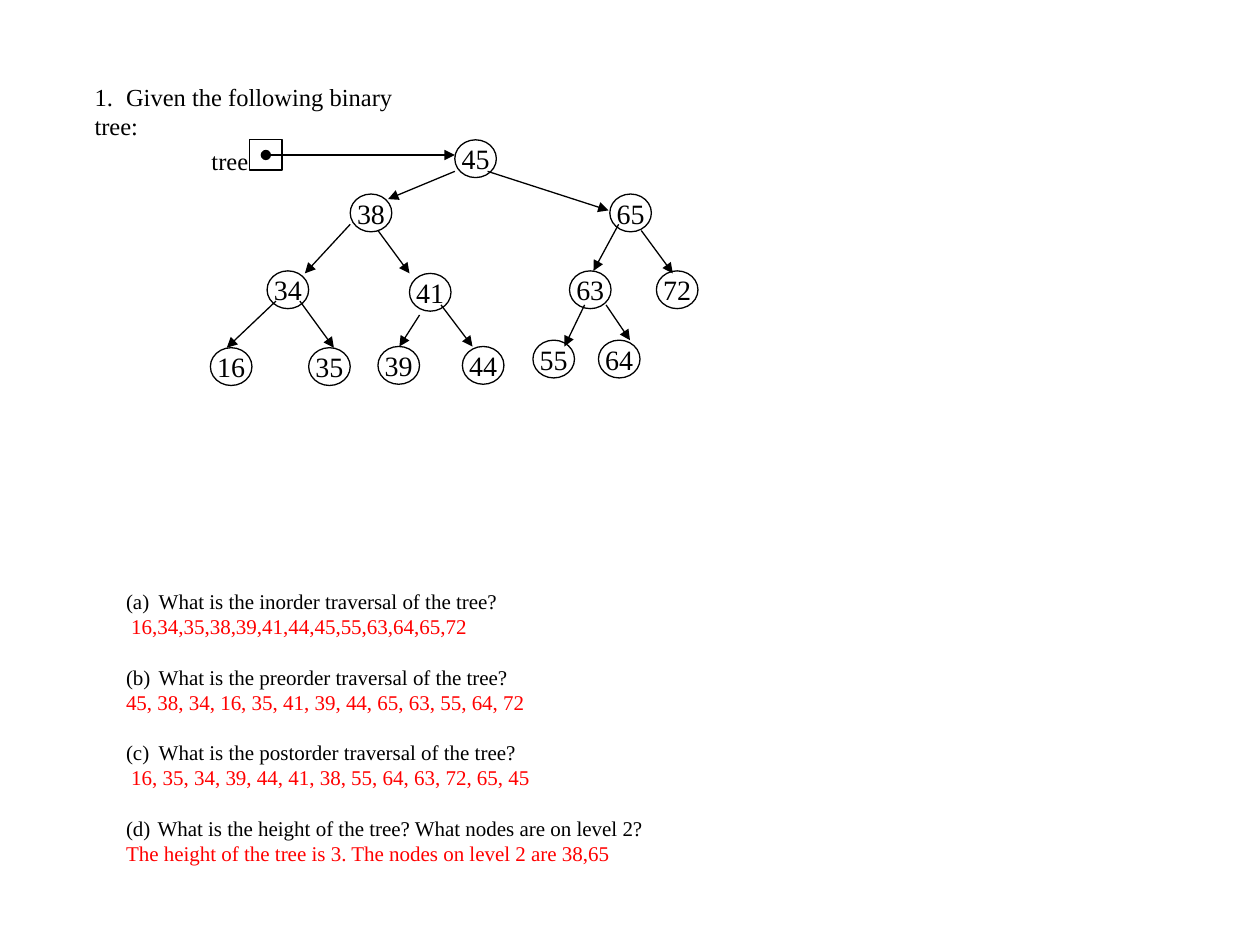
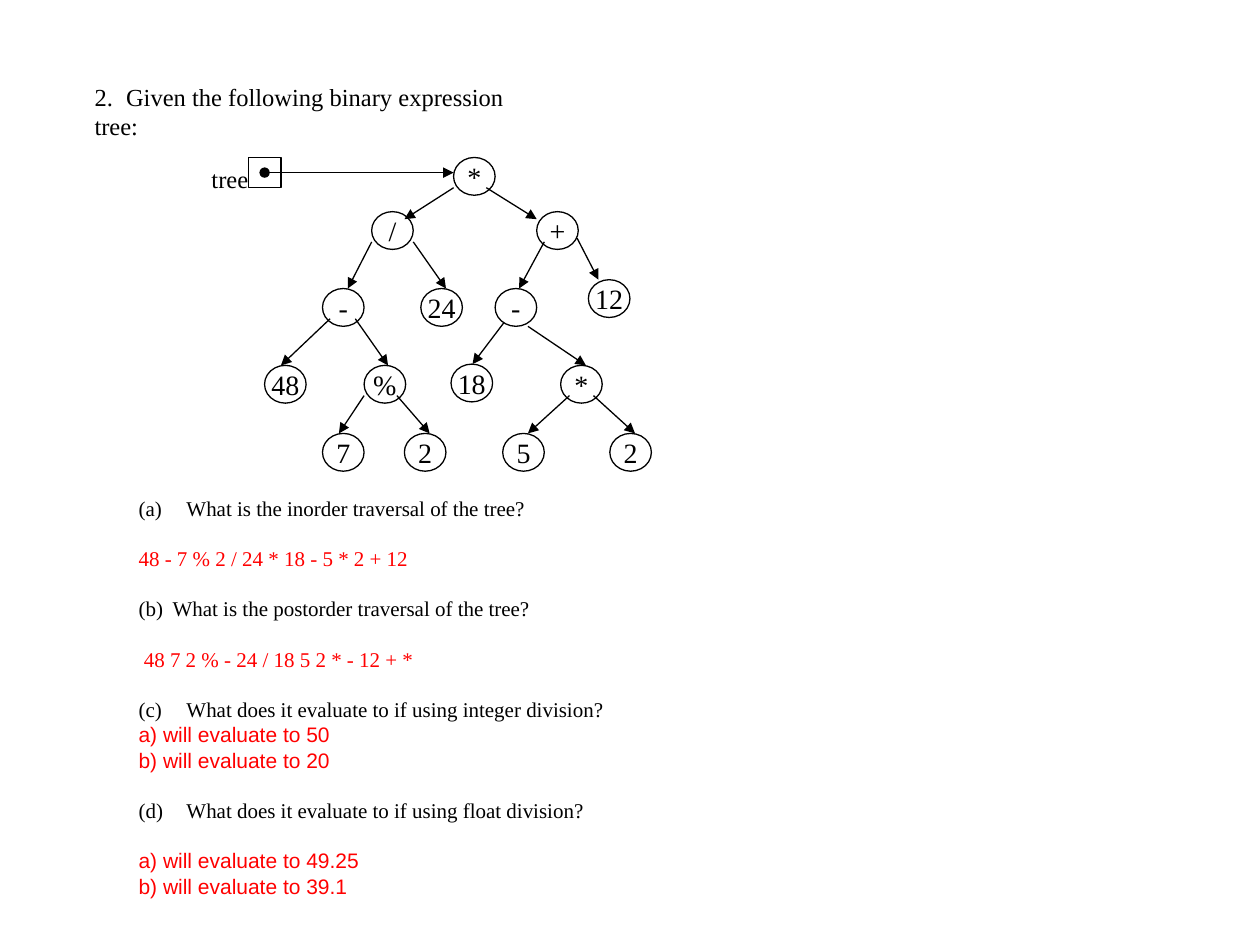
"""Build two slides of binary tree exercises with their answers."""
from dataclasses import dataclass

from lxml.etree import SubElement
from pptx import Presentation
from pptx.dml.color import RGBColor
from pptx.enum.shapes import MSO_CONNECTOR, MSO_SHAPE
from pptx.enum.text import MSO_ANCHOR, MSO_AUTO_SIZE, PP_ALIGN
from pptx.oxml.ns import qn
from pptx.util import Inches, Pt


@dataclass(frozen=True)
class Theme:
    ink: RGBColor = RGBColor(0x00, 0x00, 0x00)
    answer: RGBColor = RGBColor(0xFF, 0x00, 0x00)
    serif: str = "Times New Roman"
    sans: str = "Arial"
    title_size: float = 14
    body_size: float = 12
    node_size: float = 16
    leading: float = 1.2
    line_width: float = 0.75
    node_width: float = 0.33
    node_height: float = 0.3


theme = Theme()


def style_paragraph(paragraph, size, color=theme.ink, font=theme.serif, align=PP_ALIGN.LEFT):
    paragraph.alignment = align
    paragraph.font.name = font
    paragraph.font.size = Pt(size)
    paragraph.font.bold = False
    paragraph.font.color.rgb = color


def add_arrow(slide, start_x, start_y, end_x, end_y, head=None):
    arrow = slide.shapes.add_connector(
        MSO_CONNECTOR.STRAIGHT, Inches(start_x), Inches(start_y), Inches(end_x), Inches(end_y))
    arrow.line.color.rgb = theme.ink
    arrow.line.width = Pt(theme.line_width)
    line = arrow.line._get_or_add_ln()
    if head:
        SubElement(line, qn("a:headEnd"), type=head)
    SubElement(line, qn("a:tailEnd"), type="triangle")
    SubElement(arrow._element.spPr, qn("a:effectLst"))


exercises = [
    {
        "title": "1.\tGiven the following binary tree:",
        "title_width": 2.9,
        "body_box": (0.9, 4.62, 6.3, 2.32),
        "root": (3.61, 1.11),
        "nodes": [
            ("45", 3.61, 1.11), ("38", 2.78, 1.54), ("65", 4.84, 1.54),
            ("34", 2.12, 2.15), ("41", 3.25, 2.17), ("63", 4.52, 2.15), ("72", 5.21, 2.15),
            ("16", 1.67, 2.76), ("35", 2.45, 2.76), ("39", 3.00, 2.75), ("44", 3.67, 2.75),
            ("55", 4.23, 2.70), ("64", 4.75, 2.70),
        ],
        "arrows": [
            (3.61, 1.36, 3.08, 1.58), (3.87, 1.36, 4.83, 1.67),
            (2.78, 1.78, 2.42, 2.17), (3.00, 1.83, 3.25, 2.17),
            (4.91, 1.78, 4.71, 2.15), (5.09, 1.83, 5.34, 2.17),
            (2.19, 2.39, 1.80, 2.76), (2.38, 2.39, 2.65, 2.76),
            (3.33, 2.50, 3.17, 2.75), (3.50, 2.42, 3.75, 2.75),
            (4.64, 2.42, 4.48, 2.75), (4.81, 2.42, 5.00, 2.70),
        ],
        "questions": [
            ("What is the inorder traversal of the tree?", 0.26,
             [" 16,34,35,38,39,41,44,45,55,63,64,65,72"], 0, theme.serif),
            ("What is the preorder traversal of the tree?", 0.26,
             ["45, 38, 34, 16, 35, 41, 39, 44, 65, 63, 55, 64, 72"], 0, theme.serif),
            ("What is the postorder traversal of the tree?", 0.26,
             [" 16, 35, 34, 39, 44, 41, 38, 55, 64, 63, 72, 65, 45"], 0, theme.serif),
            ("What is the height of the tree? What nodes are on level 2?", 0.25,
             ["The height of the tree is 3. The nodes on level 2 are 38,65"], 0, theme.serif),
        ],
    },
    {
        "title": "2.\tGiven the following binary expression tree:",
        "title_width": 3.75,
        "body_box": (1, 3.88, 4.17, 3.5),
        "root": (3.6, 1.25),
        "nodes": [
            ("*", 3.60, 1.25), ("/", 2.95, 1.68), ("+", 4.26, 1.68),
            ("-", 2.56, 2.29), ("24", 3.34, 2.29), ("-", 3.93, 2.29), ("12", 4.67, 2.22),
            ("48", 2.10, 2.90), ("%", 2.89, 2.90), ("18", 3.58, 2.89), ("*", 4.45, 2.90),
            ("7", 2.56, 3.44), ("2", 3.21, 3.44), ("5", 3.99, 3.44), ("2", 4.84, 3.44),
        ],
        "arrows": [
            (3.60, 1.49, 3.21, 1.74), (3.86, 1.49, 4.26, 1.74),
            (2.95, 1.92, 2.76, 2.29), (3.28, 1.92, 3.54, 2.29),
            (4.32, 1.92, 4.12, 2.29), (4.58, 1.89, 4.75, 2.22),
            (2.62, 2.53, 2.23, 2.90), (2.82, 2.53, 3.08, 2.90),
            (4.00, 2.56, 3.75, 2.89), (4.19, 2.59, 4.65, 2.90),
            (2.89, 3.14, 2.69, 3.44), (3.15, 3.14, 3.41, 3.44),
            (4.52, 3.14, 4.19, 3.44), (4.71, 3.14, 5.04, 3.44),
        ],
        "questions": [
            ("What is the inorder traversal of the tree?", 0.38,
             ["48 - 7 % 2 / 24 * 18 - 5 * 2 + 12"], 1, theme.serif),
            ("What is the postorder traversal of the tree?", 0.27,
             [" 48 7 2 % - 24 / 18 5 2 * - 12 + *"], 1, theme.serif),
            ("What does it evaluate to if using integer division?", 0.38,
             ["a) will evaluate to 50", "b) will evaluate to 20"], 0, theme.sans),
            ("What does it evaluate to if using float division?", 0.38,
             ["a) will evaluate to 49.25", "b) will evaluate to 39.1"], 1, theme.sans),
        ],
    },
]

presentation = Presentation()
presentation.slide_width = Inches(10)
presentation.slide_height = Inches(7.5)
body_line = theme.body_size * theme.leading

for exercise in exercises:
    slide = presentation.slides.add_slide(presentation.slide_layouts[1])
    title, body = slide.shapes.title, slide.placeholders[1]
    boxes = [(title, (0.65, 0.6, exercise["title_width"], 0.6)), (body, exercise["body_box"])]
    for placeholder, box in boxes:
        placeholder.left, placeholder.top, placeholder.width, placeholder.height = map(Inches, box)
        placeholder.text_frame.auto_size = MSO_AUTO_SIZE.NONE
        placeholder.text_frame.vertical_anchor = MSO_ANCHOR.TOP
        placeholder.text_frame.word_wrap = True

    title.text_frame.text = exercise["title"]
    paragraph = title.text_frame.paragraphs[0]
    paragraph.line_spacing = Pt(theme.title_size * theme.leading)
    tab_stops = SubElement(paragraph._p.get_or_add_pPr(), qn("a:tabLst"))
    SubElement(tab_stops, qn("a:tab"), pos=str(Inches(0.25)), algn="l")
    style_paragraph(paragraph, theme.title_size)

    lines = []
    for number, (question, indent, answers, gap, font) in enumerate(exercise["questions"], 1):
        lines.append((question, number, indent, int(number > 1), theme.ink, theme.serif))
        for index, answer in enumerate(answers):
            lines.append((answer, None, 0, 0 if index else gap, theme.answer, font))

    body.text_frame.text = "\n".join(line[0] for line in lines)
    for paragraph, line in zip(body.text_frame.paragraphs, lines):
        text, number, indent, blank_lines, color, font = line
        paragraph.line_spacing = Pt(body_line)
        paragraph.space_before = Pt(body_line * blank_lines)
        properties = paragraph._p.get_or_add_pPr()
        properties.set("marL", str(Inches(indent)))
        properties.set("indent", str(-Inches(indent)))
        if number:
            SubElement(properties, qn("a:buFontTx"))
            SubElement(properties, qn("a:buAutoNum"), type="alphaLcParenBoth", startAt=str(number))
        else:
            SubElement(properties, qn("a:buNone"))
        style_paragraph(paragraph, theme.body_size, color, font)

    for label, left, top in exercise["nodes"]:
        node = slide.shapes.add_shape(
            MSO_SHAPE.OVAL, Inches(left), Inches(top),
            Inches(theme.node_width), Inches(theme.node_height))
        node.shadow.inherit = False
        node.fill.background()
        node.line.color.rgb = theme.ink
        node.line.width = Pt(theme.line_width)
        frame = node.text_frame
        frame.margin_left = frame.margin_right = frame.margin_top = frame.margin_bottom = 0
        frame.word_wrap = False
        frame.vertical_anchor = MSO_ANCHOR.MIDDLE
        frame.text = label
        style_paragraph(frame.paragraphs[0], theme.node_size, align=PP_ALIGN.CENTER)

    for arrow_ends in exercise["arrows"]:
        add_arrow(slide, *arrow_ends)

    root_left, root_top = exercise["root"]
    pointer = slide.shapes.add_shape(
        MSO_SHAPE.RECTANGLE, Inches(root_left - 1.63), Inches(root_top), Inches(0.26), Inches(0.24))
    pointer.shadow.inherit = False
    pointer.fill.background()
    pointer.line.color.rgb = theme.ink
    pointer.line.width = Pt(theme.line_width)
    add_arrow(slide, root_left - 1.5, root_top + 0.12, root_left, root_top + 0.12, head="oval")

    pointer_name = slide.shapes.add_textbox(
        Inches(1.58), Inches(root_top), Inches(0.49), Inches(0.33))
    pointer_name.text_frame.word_wrap = False
    pointer_name.text_frame.text = "tree"
    style_paragraph(pointer_name.text_frame.paragraphs[0], theme.title_size)

presentation.save("out.pptx")
